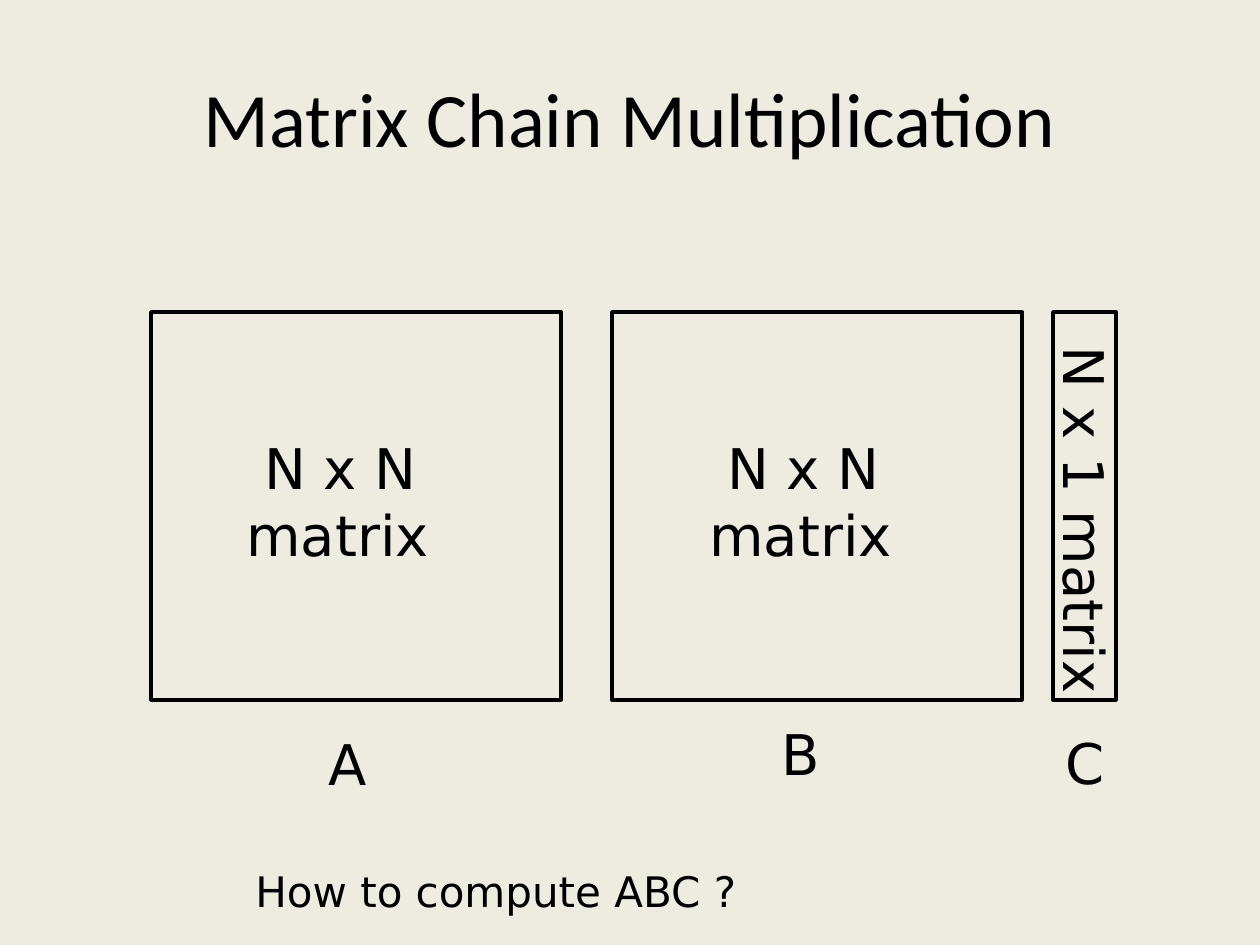
import pptx
import pptx.util
import pptx.dml.color
import pptx.enum.shapes
import pptx.enum.text

PX = 914400 // 126
INK = pptx.dml.color.RGBColor(0, 0, 0)
PAPER = pptx.dml.color.RGBColor(0xEE, 0xEC, 0xE1)
SANS = "DejaVu Sans"

TOP, HIGH = 312, 388
FRAMES = [(151, 410), (612, 410), (1053, 63)]  # left, width
SQUARE = [" N x N ", "matrix"]
# lines, left, top, width, height, size, wrap, turn
LABELS = [
    (SQUARE, 234, 427, 222, 147, 32, False, 0),
    (SQUARE, 697, 427, 222, 147, 32, False, 0),
    (["A"], 316, 723, 64, 79, 32, False, 0),
    (["B"], 769, 713, 64, 79, 32, False, 0),
    (["C"], 1053, 722, 64, 79, 32, False, 0),
    (["N x 1 matrix"], 893, 488, 387, 79, 32, True, 90),
    (["How to compute ABC ?"], 243, 859, 576, 63, 24, True, 0),
]
TITLE = (["Matrix Chain Multiplication"], 63, 38, 1134, 157, 44, True, 0)


def add_frame(slide, left, width):
    """Draw one unfilled matrix outline."""
    box = slide.shapes.add_shape(
        pptx.enum.shapes.MSO_SHAPE.RECTANGLE,
        left * PX, TOP * PX, width * PX, HIGH * PX)
    box.shadow.inherit = False
    box.fill.background()
    box.line.color.rgb = INK
    box.line.width = pptx.util.Pt(2)


def add_text(slide, lines, left, top, width, height, size, wrap, turn,
             face=SANS):
    """Add a text box with one paragraph per line; return its frame."""
    box = slide.shapes.add_textbox(left * PX, top * PX, width * PX, height * PX)
    box.rotation = turn
    frame = box.text_frame
    frame.word_wrap = wrap
    frame.text = "\n".join(lines)
    for para in frame.paragraphs:
        para.font.size = pptx.util.Pt(size)
        para.font.name = face
        para.font.color.rgb = INK
    return frame


deck = pptx.Presentation()
deck.slide_width, deck.slide_height = 1260 * PX, 945 * PX
slide = deck.slides.add_slide(deck.slide_layouts[6])
slide.background.fill.solid()
slide.background.fill.fore_color.rgb = PAPER

for left, width in FRAMES:
    add_frame(slide, left, width)
for label in LABELS:
    frame = add_text(slide, *label)
    frame.auto_size = pptx.enum.text.MSO_AUTO_SIZE.SHAPE_TO_FIT_TEXT
title = add_text(slide, *TITLE, face="Calibri")
title.vertical_anchor = pptx.enum.text.MSO_ANCHOR.MIDDLE
title.paragraphs[0].alignment = pptx.enum.text.PP_ALIGN.CENTER

deck.save("out.pptx")
